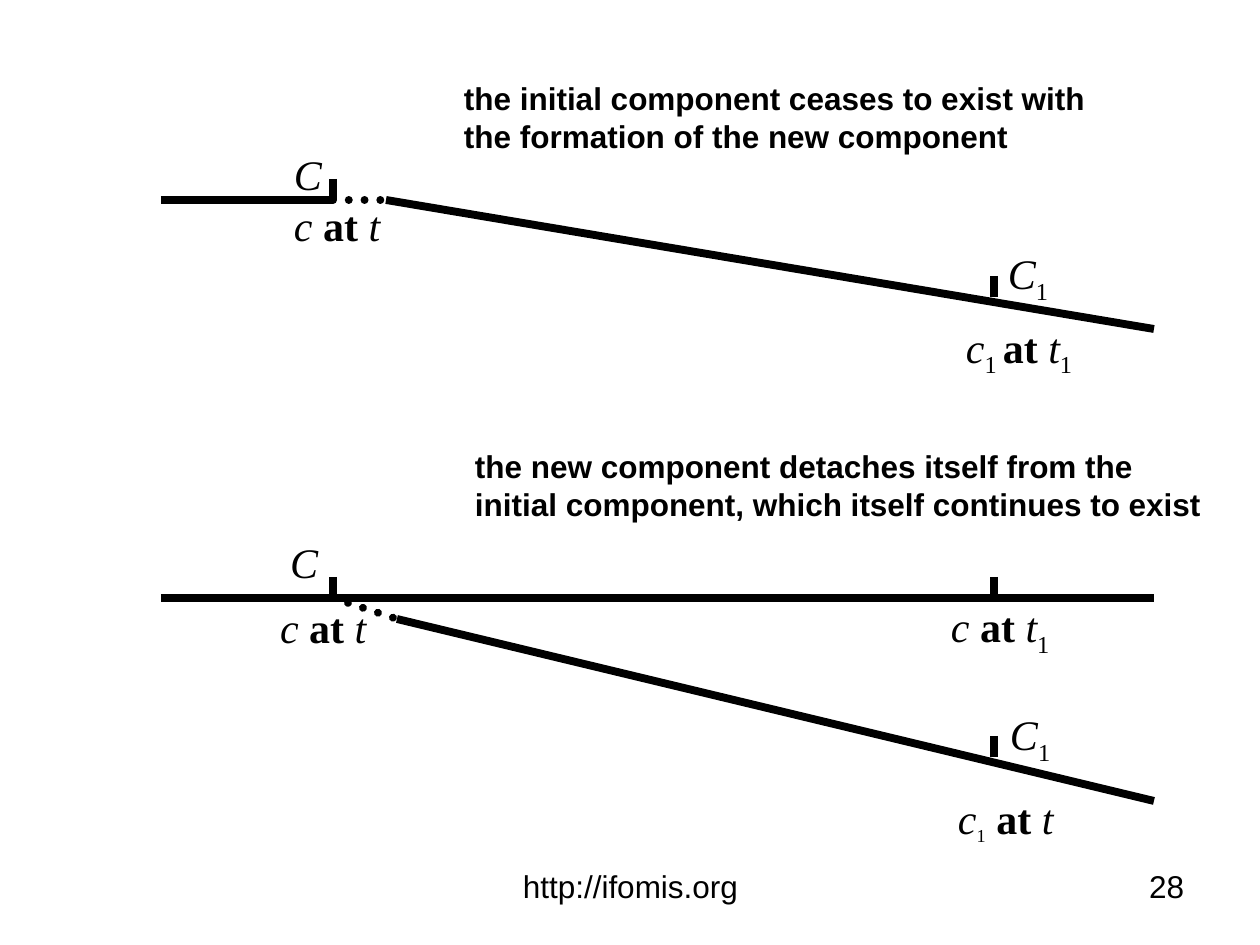
"""Build a slide comparing two ways a new component can form."""
import pptx
import pptx.dml.color
import pptx.enum.dml
import pptx.enum.shapes
import pptx.enum.text
import pptx.oxml.ns
import pptx.util
from lxml import etree

EMU_PER_PX = 914400 // 126
THEME = {
    "ink": pptx.dml.color.RGBColor(0, 0, 0),
    "sans": "Arial", "serif": "Times New Roman",
    "body": 18, "symbol": 24, "line": 4.5,
}
LEFT, TICK, NEW_TICK, RIGHT = 161, 333, 994, 1154
TOP_AXIS, BOTTOM_AXIS, TICK_HEIGHT = 200, 598, 21

SOLID_LINES = [
    (386, TOP_AXIS, RIGHT, 329),
    (LEFT, BOTTOM_AXIS, RIGHT, BOTTOM_AXIS),
    (LEFT, TOP_AXIS, TICK, TOP_AXIS),
    (397, 619, RIGHT, 801),
]
DOTTED_LINES = [
    (TICK, TOP_AXIS, 386, TOP_AXIS),
    (TICK, BOTTOM_AXIS, 397, 619),
]
TICK_FEET = [
    (TICK, TOP_AXIS), (TICK, BOTTOM_AXIS),
    (NEW_TICK, BOTTOM_AXIS), (NEW_TICK, 757), (NEW_TICK, 297),
]

ALIGN = pptx.enum.text.PP_ALIGN
CAPTIONS = [
    ("the new component detaches itself from the initial component, "
     "which itself continues to exist", (462, 441, 766, 130), True, ALIGN.LEFT),
    ("the initial component ceases to exist with the formation of the new component",
     (451, 73, 693, 88), True, ALIGN.LEFT),
    ("http://ifomis.org", (431, 861, 399, 66), False, ALIGN.CENTER),
    ("28", (903, 861, 294, 66), False, ALIGN.RIGHT),
]

OLD, NEW = [("C", "italic")], [("C", "italic"), ("1", "sub")]
OLD_AT_T = [("c ", "italic"), ("at ", "bold"), ("t", "italic")]
OLD_AT_T1 = OLD_AT_T + [("1", "sub")]
NEW_AT_T = [("c", "italic"), ("1 ", "sub"), ("at ", "bold"), ("t", "italic")]
NEW_AT_T1 = NEW_AT_T + [("1", "sub")]
NEW_AT_T_SMALL = [("c", "italic"), ("1", "small sub"), (" ", "italic"), *NEW_AT_T[2:]]
LABELS = [
    ((231, 144, 179, 141), (10, 5), 0, [(53, OLD), (53, OLD_AT_T)]),
    ((270, 532, 134, 141), (10, 5), 8, [(10, OLD), (0, OLD_AT_T)]),
    ((956, 243, 192, 141), (10, 5), 9, [(42, NEW), (0, NEW_AT_T1)]),
    ((941, 596, 151, 64), (10, 5), 0, [(0, OLD_AT_T1)]),
    ((945, 703, 210, 150), (13, 6), 15, [(52, NEW), (0, NEW_AT_T_SMALL)]),
]


def px(length):
    return pptx.util.Emu(length * EMU_PER_PX)


def add_line(slide, ends, dotted=False):
    connector = slide.shapes.add_connector(
        pptx.enum.shapes.MSO_CONNECTOR.STRAIGHT, *map(px, ends))
    connector.line.color.rgb = THEME["ink"]
    connector.line.width = pptx.util.Pt(THEME["line"])
    if dotted:
        connector.line.dash_style = pptx.enum.dml.MSO_LINE.ROUND_DOT
        connector.line._get_or_add_ln().set("cap", "rnd")
    etree.SubElement(connector._element.spPr, pptx.oxml.ns.qn("a:effectLst"))


def add_text_frame(slide, place, insets=(13, 6)):
    frame = slide.shapes.add_textbox(*map(px, place)).text_frame
    frame.word_wrap = True
    frame.margin_left = frame.margin_right = px(insets[0])
    frame.margin_top = frame.margin_bottom = px(insets[1])
    return frame


def style_font(font, family, size):
    font.name, font.size = family, pptx.util.Pt(size)
    font.color.rgb = THEME["ink"]


def add_caption(slide, text, place, bold, alignment):
    frame = add_text_frame(slide, place)
    frame.text = text
    paragraph = frame.paragraphs[0]
    paragraph.alignment = alignment
    font = paragraph.runs[0].font
    style_font(font, THEME["sans"], THEME["body"])
    font.bold = bold


def add_label(slide, place, insets, space_after, rows):
    frame = add_text_frame(slide, place, insets)
    for index, (indent, pieces) in enumerate(rows):
        paragraph = frame.add_paragraph() if index else frame.paragraphs[0]
        paragraph._p.get_or_add_pPr().set("marL", str(px(indent)))
        paragraph.space_after = pptx.util.Pt(space_after)
        for text, style in pieces:
            run = paragraph.add_run()
            run.text = text
            size = THEME["body"] if style == "small sub" else THEME["symbol"]
            style_font(run.font, THEME["serif"], size)
            run.font.italic = style == "italic"
            run.font.bold = style == "bold"
            if style.endswith("sub"):
                run.font._element.set("baseline", "-25000")


def main():
    presentation = pptx.Presentation()
    presentation.slide_width, presentation.slide_height = px(1260), px(945)
    slide = presentation.slides.add_slide(presentation.slide_layouts[6])
    for ends in SOLID_LINES:
        add_line(slide, ends)
    for ends in DOTTED_LINES:
        add_line(slide, ends, dotted=True)
    for x, foot in TICK_FEET:
        add_line(slide, (x, foot - TICK_HEIGHT, x, foot))
    for caption in CAPTIONS:
        add_caption(slide, *caption)
    for label in LABELS:
        add_label(slide, *label)
    presentation.save("out.pptx")


if __name__ == "__main__":
    main()
